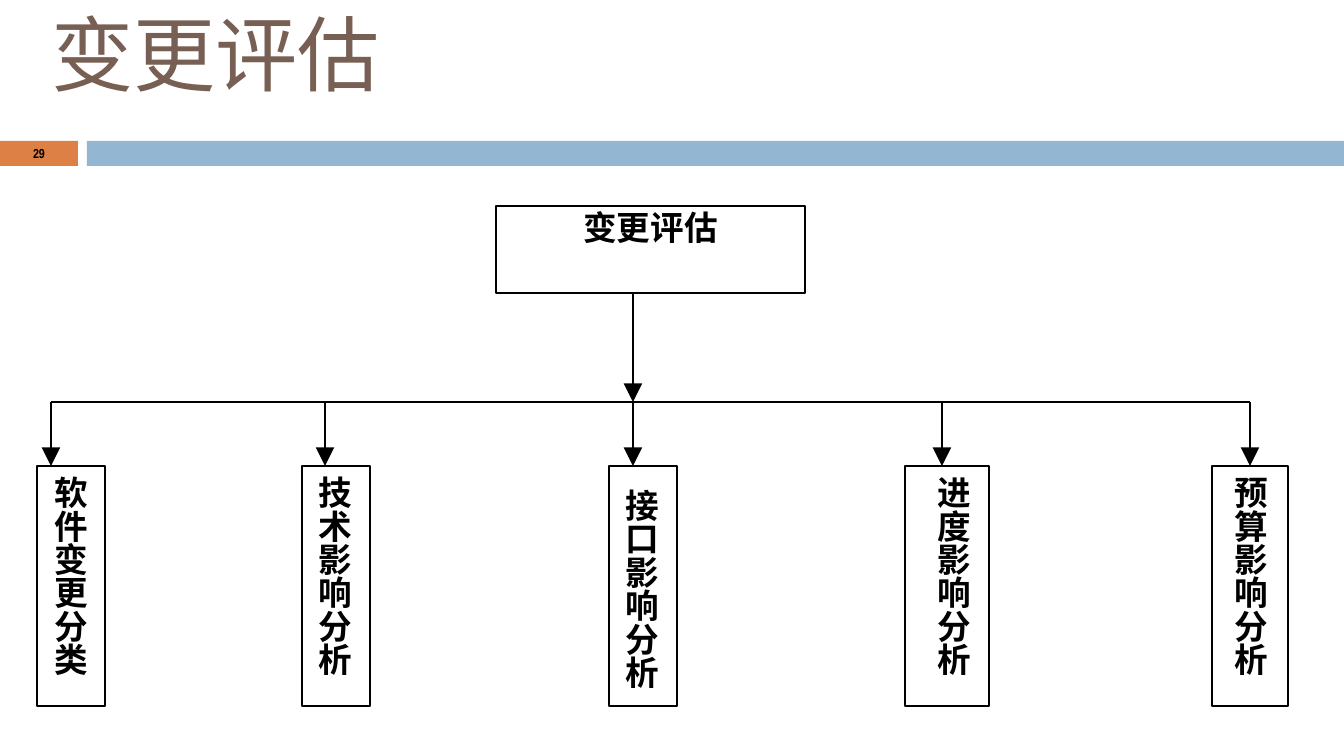
from pptx import Presentation
from pptx.dml.color import RGBColor
from pptx.enum.shapes import MSO_CONNECTOR, MSO_SHAPE
from pptx.enum.text import MSO_ANCHOR, PP_ALIGN
from pptx.oxml.ns import qn
from pptx.util import Emu, Pt
from lxml.etree import SubElement

PX = 914400 / 134.4
W, H = 1344, 756
CJK = "Noto Sans CJK SC"
BLACK = "000000"


def px(n):
    return Emu(round(n * PX))


def rgb(color):
    return RGBColor.from_string(color)


def write(s, text, size, color=BLACK, font=CJK, bold=True, align=PP_ALIGN.LEFT,
          anchor=MSO_ANCHOR.TOP, left=0, top=0, pitch=None):
    tf = s.text_frame
    tf.word_wrap = True
    tf.vertical_anchor = anchor
    tf.margin_left, tf.margin_top = px(left), px(top)
    tf.margin_right = tf.margin_bottom = 0
    p = tf.paragraphs[0]
    p.alignment = align
    if pitch:
        p.line_spacing = Pt(pitch)
    r = p.add_run()
    r.text = text
    r.font.size, r.font.bold, r.font.name = Pt(size), bold, font
    r.font.color.rgb = rgb(color)
    SubElement(r._r.get_or_add_rPr(), qn("a:ea"), typeface=font)


def add_rect(slide, x, y, w, h, fill=None, line=None):
    s = slide.shapes.add_shape(MSO_SHAPE.RECTANGLE, px(x), px(y), px(w), px(h))
    s.shadow.inherit = False
    if fill:
        s.fill.solid()
        s.fill.fore_color.rgb = rgb(fill)
    else:
        s.fill.background()
    if line:
        s.line.color.rgb = rgb(line)
        s.line.width = Pt(0.72)
    else:
        s.line.fill.background()
    return s


def add_line(slide, x1, y1, x2, y2, width=0.72, arrow=False):
    c = slide.shapes.add_connector(MSO_CONNECTOR.STRAIGHT, px(x1), px(y1), px(x2), px(y2))
    c.line.color.rgb = rgb(BLACK)
    c.line.width = Pt(width)
    if arrow:
        SubElement(c.line._get_or_add_ln(), qn("a:tailEnd"), type="triangle", w="lg", len="lg")
    SubElement(c._element.spPr, qn("a:effectLst"))
    return c


def add_header(slide, x, y, w):
    # Title
    title = slide.shapes.title
    title.left, title.top, title.width, title.height = px(x + 51), px(y + 3), px(w - 102), px(120)
    write(title, "变更评估", 44, "775F54", bold=False)
    # Page number block and band
    number = add_rect(slide, x, y + 141, 78, 25, fill="DD8046")
    write(number, "29", 7, font="Arial Narrow", align=PP_ALIGN.CENTER, anchor=MSO_ANCHOR.MIDDLE)
    add_rect(slide, x + 87, y + 141, w - 87, 25, fill="93B6D2")


def add_tree(slide, x, y):
    bar_y, leaf_y, leaf_h = y + 196, y + 260, 240
    # Text, box left, box width, arrow position, text inset left and top
    leaves = [
        ("软件变更分类", 0, 68, 14, 18, 13),
        ("技术影响分析", 265, 68, 288, 17, 13),
        ("接口影响分析", 572, 68, 596, 17, 26),
        ("进度影响分析", 868, 84, 905, 33, 13),
        ("预算影响分析", 1175, 76, 1213, 23, 13),
    ]
    drops = [leaf[3] for leaf in leaves]

    # Root box
    root = add_rect(slide, x + 459, y, 309, 87, line=BLACK)
    write(root, "变更评估", 18, align=PP_ALIGN.CENTER, top=1)

    # Stem and crossbar
    add_line(slide, x + drops[2], y + 87, x + drops[2], bar_y, 1.25, arrow=True)
    add_line(slide, x + drops[0], bar_y, x + drops[-1], bar_y)

    # Leaves: narrow boxes that wrap after every character
    for text, left, w, drop, inset, top in leaves:
        box = add_rect(slide, x + left, leaf_y, w, leaf_h, line=BLACK)
        write(box, " ".join(text), 18, left=inset, top=top, pitch=17.9)
        arrow = add_line(slide, x + drop, bar_y, x + drop, leaf_y, 1.25, arrow=True)
        if drop == left + w / 2:
            arrow.end_connect(box, 0)


def main():
    prs = Presentation()
    prs.slide_width, prs.slide_height = px(W), px(H)
    slide = prs.slides.add_slide(prs.slide_layouts[5])
    add_header(slide, 0, 0, W)
    add_tree(slide, 37, 206)
    prs.save("out.pptx")


if __name__ == "__main__":
    main()
